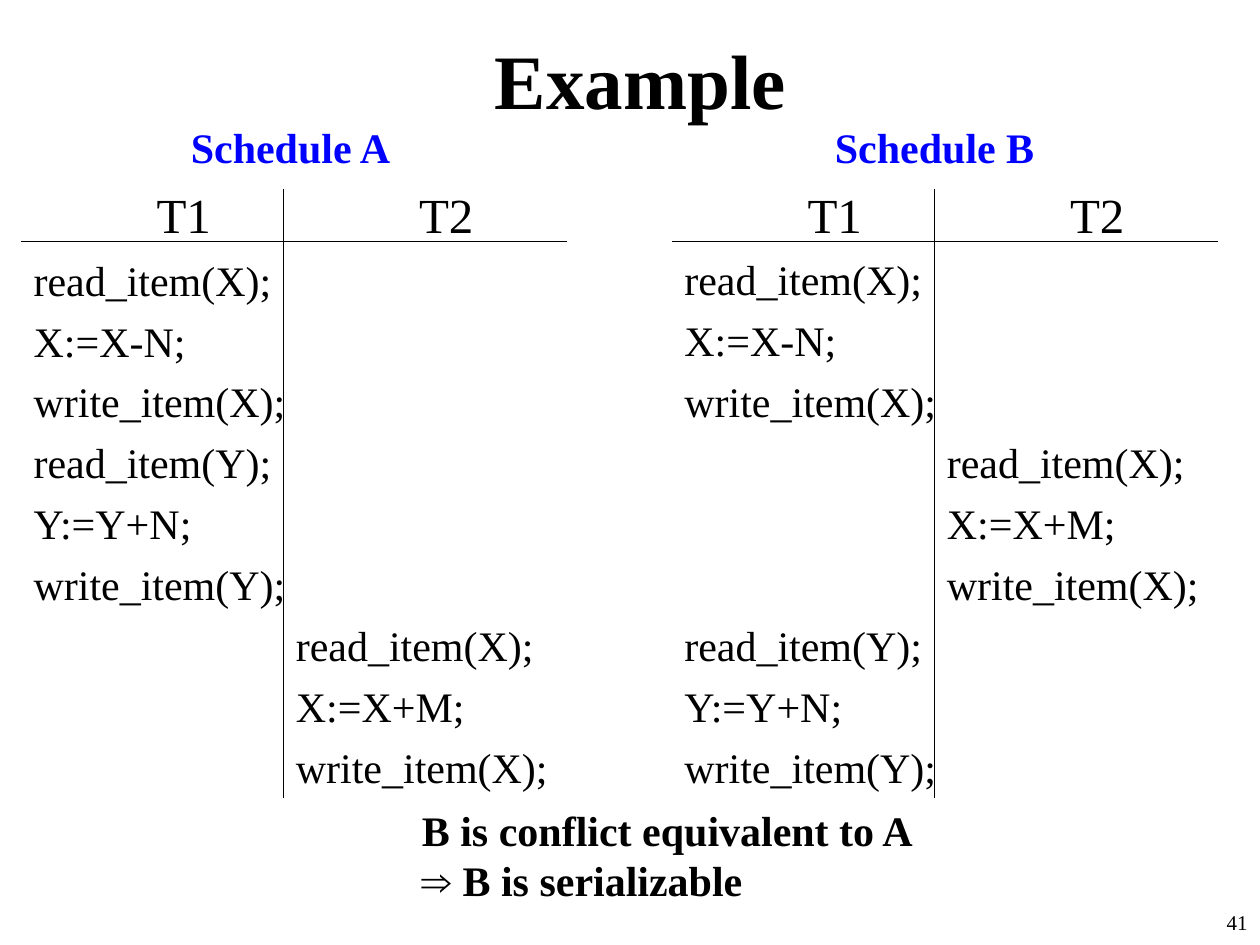
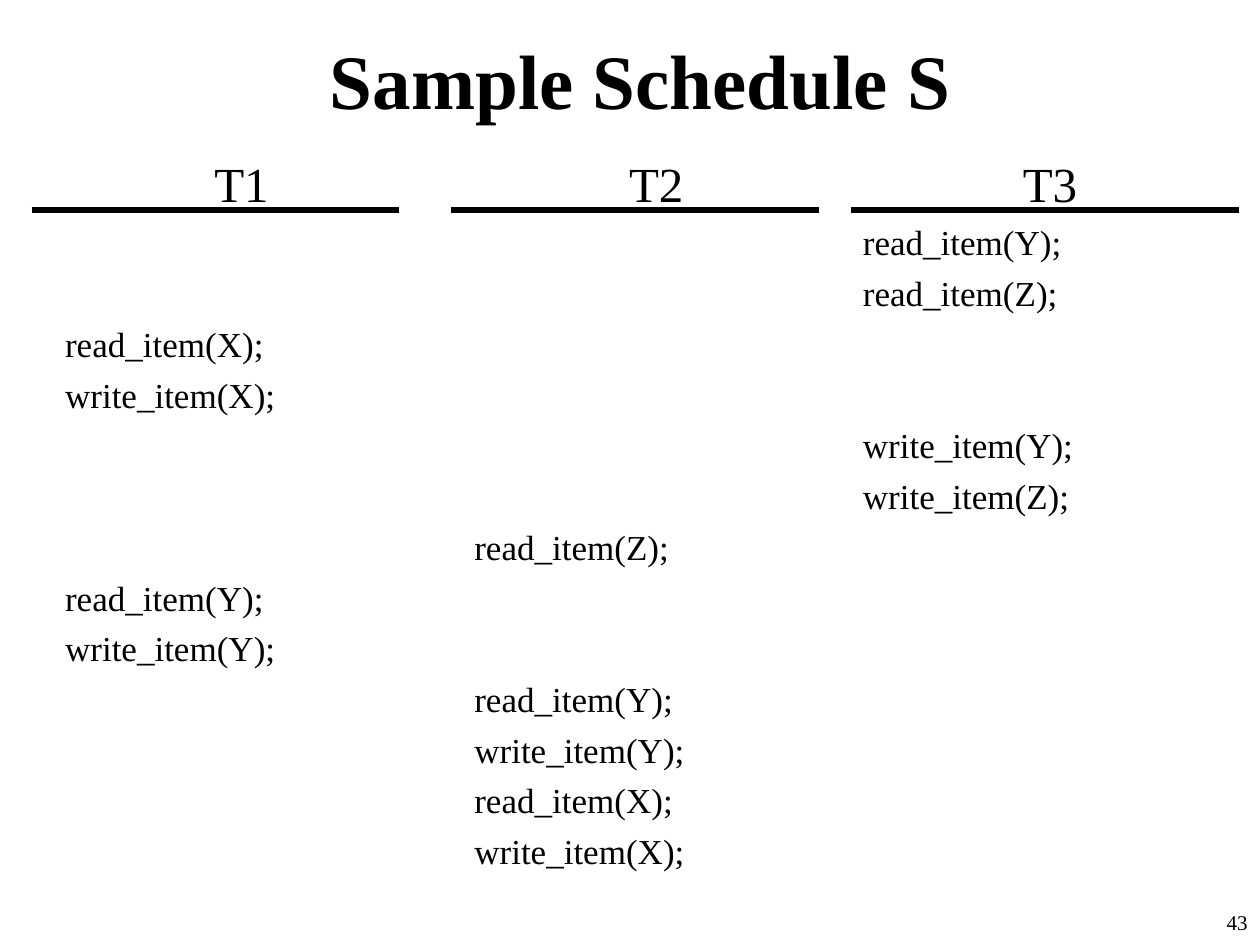
from lxml import etree
from pptx import Presentation
from pptx.dml.color import RGBColor
from pptx.enum.shapes import MSO_CONNECTOR
from pptx.enum.text import MSO_ANCHOR, MSO_AUTO_SIZE, PP_ALIGN
from pptx.oxml.ns import qn
from pptx.util import Pt

LEFT, CENTER, RIGHT = PP_ALIGN.LEFT, PP_ALIGN.CENTER, PP_ALIGN.RIGHT
TOP, MIDDLE = MSO_ANCHOR.TOP, MSO_ANCHOR.MIDDLE
NO_FIT = MSO_AUTO_SIZE.NONE
STRAIGHT = MSO_CONNECTOR.STRAIGHT
SERIF, SANS = "Times New Roman", "Arial"
BLACK, BLUE = "000000", "0000FF"
LINE_HEIGHT = 1.2
HEADER_SIZE = 28

WRITE_X = ["read_item(X);", "X:=X-N;", "write_item(X);"]
WRITE_Y = ["read_item(Y);", "Y:=Y+N;", "write_item(Y);"]
ADD_M = ["read_item(X);", "X:=X+M;", "write_item(X);"]


def color(hex_text):
    """Turn a hex string into a colour."""
    return RGBColor.from_string(hex_text)


def place(shape, left, top, width, height):
    """Move and size a shape, in points."""
    shape.left, shape.top = Pt(left), Pt(top)
    shape.width, shape.height = Pt(width), Pt(height)


def prepare(box, wrap=True, anchor=TOP):
    """Fix the wrapping, fit and anchor of a text shape and return its frame."""
    frame = box.text_frame
    frame.word_wrap = wrap
    frame.auto_size = NO_FIT
    frame.vertical_anchor = anchor
    return frame


def style(para, size, bold=False, hue=BLACK, align=LEFT, before=0):
    """Format a whole paragraph without bullet or indent."""
    properties = para._p.get_or_add_pPr()
    properties.set("marL", "0")
    properties.set("indent", "0")
    para.alignment = align
    para.line_spacing = Pt(round(size * LINE_HEIGHT, 2))
    para.space_before = Pt(before)
    para.space_after = Pt(0)
    etree.SubElement(properties, qn("a:buNone"))
    para.font.name = SERIF
    para.font.size = Pt(size)
    para.font.bold = bold
    para.font.color.rgb = color(hue)


def add_label(page, text, area, size, wrap=True, **look):
    """Add a one-paragraph text box."""
    box = page.shapes.add_textbox(*map(Pt, area))
    para = prepare(box, wrap).paragraphs[0]
    para.text = text
    style(para, size, **look)


def add_rule(page, start, end, weight):
    """Draw a black straight line between two points."""
    rule = page.shapes.add_connector(STRAIGHT, *map(Pt, start + end))
    rule.line.color.rgb = color(BLACK)
    rule.line.width = Pt(weight)
    etree.SubElement(rule._element.spPr, qn("a:effectLst"))


def add_page(deck, title, number):
    """Add a slide with its title and page number."""
    page = deck.slides.add_slide(deck.slide_layouts[1])
    place(page.shapes.title, 30, 0, 672, 90)
    para = prepare(page.shapes.title, anchor=MIDDLE).paragraphs[0]
    para.text = title
    style(para, 44, bold=True, align=CENTER)
    add_label(page, number, (570, 516, 150, 36), 12, align=RIGHT)
    return page


def fill_column(box, area, header, steps, size):
    """Write a transaction: a header, then (row, statements) groups in time order."""
    place(box, *area)
    frame = prepare(box)
    para = frame.paragraphs[0]
    para.text = header
    style(para, HEADER_SIZE, align=CENTER)
    gap = size / 4
    pitch = size * LINE_HEIGHT + gap
    next_row = 0
    for first_row, statements in steps:
        for row, statement in enumerate(statements, first_row):
            para = frame.add_paragraph()
            para.text = statement
            style(para, size, before=round(gap + (row - next_row) * pitch, 2))
            next_row = row + 1


def add_columns(page, columns, size, body=None):
    """Add transactions, the first of them in the body placeholder if given."""
    for index, (area, header, steps) in enumerate(columns):
        use_body = body is not None and index == 0
        box = body if use_body else page.shapes.add_textbox(*map(Pt, area))
        fill_column(box, area, header, steps, size)


def add_schedule(page, left, name, name_offset, transactions, body=None):
    """Add a two-transaction schedule with its name and crossing rules."""
    top, column_step = 102, 150
    columns = [((left + index * column_step, top, 186, 354), f"T{index + 1}", steps)
               for index, steps in enumerate(transactions)]
    add_columns(page, columns, 24, body)
    add_rule(page, (left, top + 36), (left + 312, top + 36), 0.75)
    middle = left + column_step
    add_rule(page, (middle, top + 6), (middle, top + 354), 0.75)
    add_label(page, name, (left + name_offset, top - 36, 130, 36), 24,
              wrap=False, bold=True, hue=BLUE)


def add_conclusion(page, left, top):
    """Add the two-line conclusion below the schedules."""
    box = page.shapes.add_textbox(Pt(left), Pt(top), Pt(302), Pt(65))
    frame = prepare(box, wrap=False)
    frame.paragraphs[0].text = "B is conflict equivalent to A"
    result = frame.add_paragraph()
    arrow = result.add_run()
    arrow.text = "⇒"
    result.add_run().text = " B is serializable"
    for para in frame.paragraphs:
        style(para, 24, bold=True)
    arrow.font.name = SANS


def build_example(deck):
    """Build the slide comparing schedules A and B."""
    page = add_page(deck, "Example", "41")
    add_schedule(page, 12, "Schedule A", 90,
                 [[(0, WRITE_X + WRITE_Y)], [(6, ADD_M)]], page.placeholders[1])
    add_schedule(page, 384, "Schedule B", 86,
                 [[(0, WRITE_X), (6, WRITE_Y)], [(3, ADD_M)]])
    add_conclusion(page, 234, 456)


def build_sample(deck):
    """Build the slide with the three-transaction schedule."""
    page = add_page(deck, "Sample Schedule S", "43")
    read_write_x = ["read_item(X);", "write_item(X);"]
    read_write_y = ["read_item(Y);", "write_item(Y);"]
    columns = [
        ((30, 84, 216, 354), "T1", [(2, read_write_x), (7, read_write_y)]),
        ((264, 84, 222, 426), "T2",
         [(6, ["read_item(Z);"]), (9, read_write_y + read_write_x)]),
        ((486, 84, 228, 354), "T3",
         [(0, ["read_item(Y);", "read_item(Z);"]),
          (4, ["write_item(Y);", "write_item(Z);"])]),
    ]
    add_columns(page, columns, 20, page.placeholders[1])
    for start, end in ((18, 228), (258, 468), (486, 708)):
        add_rule(page, (start, 120), (end, 120), 3)


def main():
    """Build and save the deck."""
    deck = Presentation()
    deck.slide_width, deck.slide_height = Pt(720), Pt(540)
    build_example(deck)
    build_sample(deck)
    deck.save("out.pptx")


if __name__ == "__main__":
    main()
